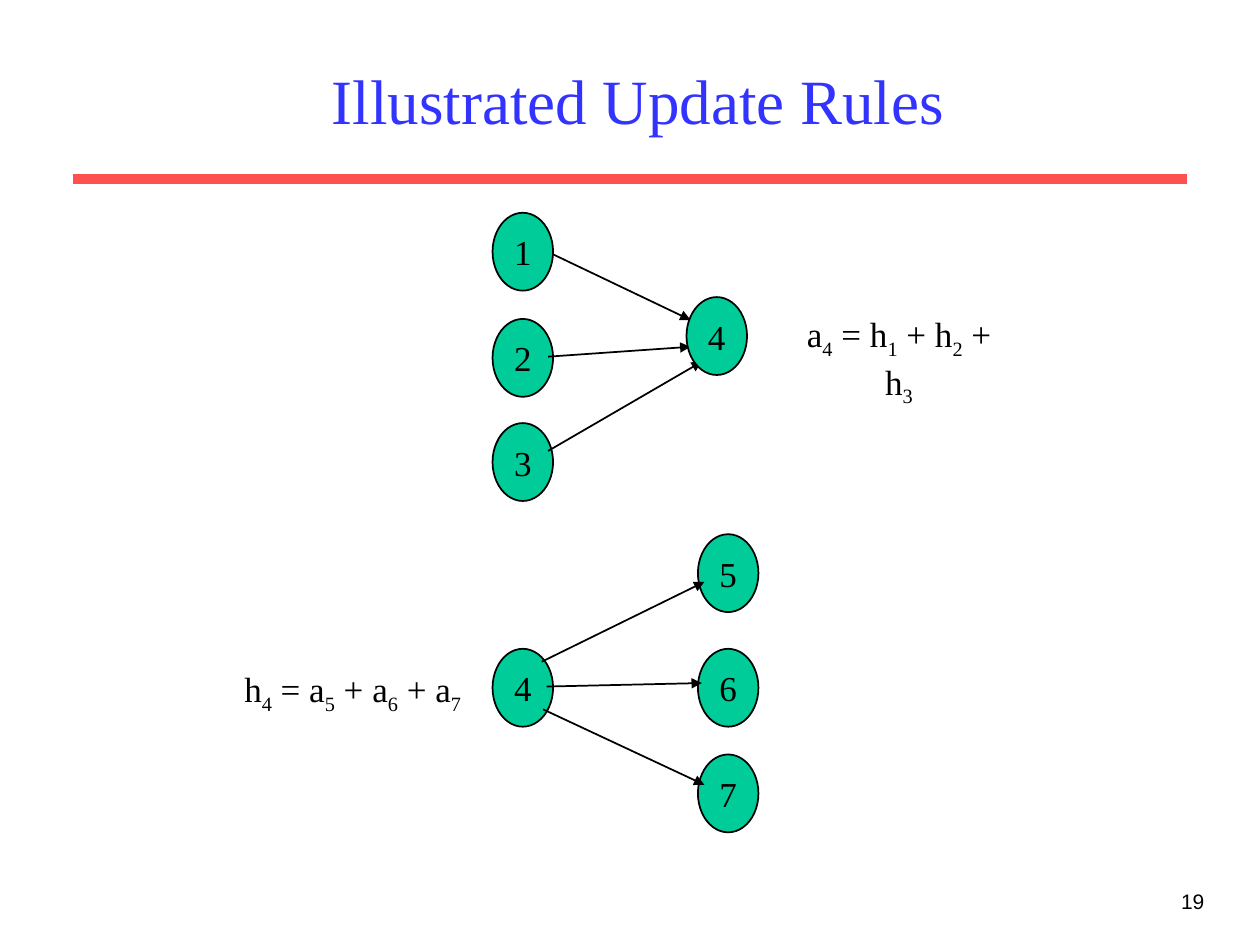
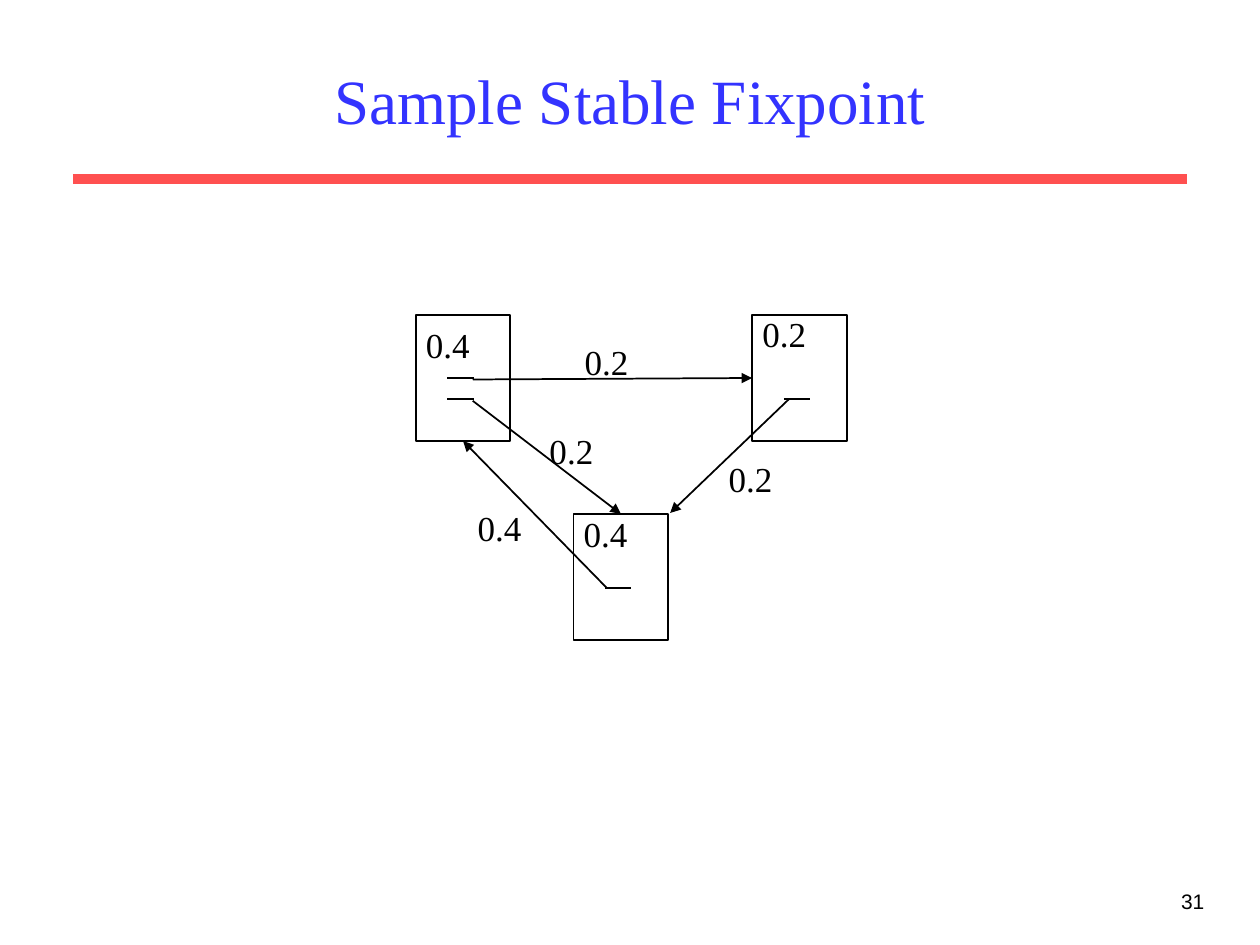
from typing import NamedTuple, Optional

from lxml.etree import SubElement
from pptx import Presentation
from pptx.dml.color import RGBColor
from pptx.enum.shapes import MSO_CONNECTOR, MSO_SHAPE
from pptx.enum.text import MSO_ANCHOR, MSO_AUTO_SIZE, PP_ALIGN
from pptx.oxml.ns import qn
from pptx.util import Cm, Pt

# Shared style
COLOURS = {"title": "3333FF", "rule": "FF5050", "node": "00CC99", "ink": "000000"}
SERIF, SANS = "Times New Roman", "Arial"
BODY_SIZE = 20
TITLE_ONLY = 5

# Sizes in centimetres
NODE_WIDTH, NODE_HEIGHT = 1.22, 1.57
PAGE_WIDTH, PAGE_HEIGHT = 1.91, 2.54
LABEL_WIDTH, LABEL_HEIGHT = 1.4, 1.12
MARK_INSET, MARK_LENGTH = 0.64, 0.53


class Node(NamedTuple):
    name: str
    left: float
    top: float


class Arrow(NamedTuple):
    start: tuple[float, float]
    end: tuple[float, float]
    target: Optional[str] = None  # page joined by the arrowhead
    side: int = 0  # 0 top, 1 left, 2 bottom, 3 right


class Formula(NamedTuple):
    text: str  # an underscore lowers the next character
    left: float
    top: float
    width: float
    height: float


class WebPage(NamedTuple):
    left: float
    top: float
    marks: tuple[float, ...]  # depths of the link marks below the top


class Label(NamedTuple):
    text: str
    left: float
    top: float


# Update rules: three nodes point to node 4, then node 4 points to three
LEFT_COLUMN, RIGHT_COLUMN = 9.93, 14.07
BACK_NODES = [Node("2", LEFT_COLUMN, 6.43), Node("3", LEFT_COLUMN, 8.53)]
IN_ARROWS = [
    Arrow((11.05, 5.08), (13.92, 6.45)),
    Arrow((11.05, 7.19), (13.92, 6.99)),
    Arrow((11.05, 9.09), (14.15, 7.29)),
]
FRONT_NODES = [
    Node("1", LEFT_COLUMN, 4.29),
    Node("4", 13.84, 5.99),
    Node("4", LEFT_COLUMN, 13.08),
    Node("5", RIGHT_COLUMN, 10.77),
    Node("6", RIGHT_COLUMN, 13.08),
    Node("7", RIGHT_COLUMN, 15.21),
]
OUT_ARROWS = [
    Arrow((10.92, 13.34), (14.2, 11.73)),
    Arrow((11.02, 13.84), (14.15, 13.77)),
    Arrow((10.95, 14.3), (14.2, 15.82)),
]
FORMULAS = [
    Formula("a_4 = h_1 + h_2 + h_3", 15.65, 6.17, 4.95, 1.22),
    Formula("h_4 = a_5 + a_6 + a_7", 4.67, 13.34, 4.88, 2.18),
]

# Fixpoint: three web pages with ranks, and the weights on their links
WEB_PAGES = {
    "left": WebPage(8.38, 6.35, (1.27, 1.7)),
    "lower": WebPage(11.56, 10.36, (1.5,)),
    "right": WebPage(15.16, 6.35, (1.7,)),
}
LINKS = [
    Arrow((9.53, 7.65), (15.16, 7.62), "right", 1),
    Arrow((9.53, 8.08), (12.52, 10.36), "lower", 0),
    Arrow((12.22, 11.84), (9.34, 8.89), "left", 2),
    Arrow((15.9, 8.05), (13.51, 10.34)),
]
LABELS = [
    Label("0.4", 8.33, 6.4),
    Label("0.4", 11.51, 10.21),
    Label("0.2", 15.11, 6.17),
    Label("0.2", 14.43, 9.09),
    Label("0.2", 11.53, 6.73),
    Label("0.2", 10.82, 8.53),
    Label("0.4", 9.37, 10.08),
]


def colour(name: str) -> RGBColor:
    return RGBColor.from_string(COLOURS[name])


def format_paragraph(para, size: float, ink: str = "ink", face: str = SERIF,
                     align=PP_ALIGN.CENTER) -> None:
    para.alignment = align
    para.font.size = Pt(size)
    para.font.name = face
    para.font.color.rgb = colour(ink)


def add_line(page, start, end, ink: str = "ink", weight: float = 1, arrow: bool = False):
    line = page.shapes.add_connector(
        MSO_CONNECTOR.STRAIGHT, *(Cm(value) for value in (*start, *end)))
    line.line.width = Pt(weight)
    line.line.color.rgb = colour(ink)
    properties = line._element.spPr
    if arrow:
        SubElement(properties.find(qn("a:ln")), qn("a:tailEnd"), type="triangle")
    SubElement(properties, qn("a:effectLst"))
    return line


def add_outlined(page, kind, left: float, top: float, width: float, height: float):
    shape = page.shapes.add_shape(kind, Cm(left), Cm(top), Cm(width), Cm(height))
    shape.shadow.inherit = False
    shape.fill.background()
    shape.line.color.rgb = colour("ink")
    shape.line.width = Pt(1)
    return shape


def add_text_box(page, left: float, top: float, width: float, height: float):
    box = page.shapes.add_textbox(Cm(left), Cm(top), Cm(width), Cm(height))
    box.text_frame.word_wrap = False
    return box.text_frame.paragraphs[0]


def add_node(page, node: Node) -> None:
    oval = add_outlined(page, MSO_SHAPE.OVAL, node.left, node.top, NODE_WIDTH, NODE_HEIGHT)
    oval.fill.solid()
    oval.fill.fore_color.rgb = colour("node")
    frame = oval.text_frame
    frame.word_wrap = False
    frame.vertical_anchor = MSO_ANCHOR.MIDDLE
    frame.text = node.name
    format_paragraph(frame.paragraphs[0], BODY_SIZE)


def add_formula(page, formula: Formula) -> None:
    para = add_text_box(page, *formula[1:])
    first, *rest = formula.text.split("_")
    para.add_run().text = first
    for piece in rest:
        span = para.add_run()
        span.text = piece[0]
        span._r.get_or_add_rPr().set("baseline", "-25000")
        if piece[1:]:
            para.add_run().text = piece[1:]
    format_paragraph(para, BODY_SIZE)


def add_label(page, label: Label) -> None:
    para = add_text_box(page, label.left, label.top, LABEL_WIDTH, LABEL_HEIGHT)
    para.text = label.text
    format_paragraph(para, BODY_SIZE)


def add_web_page(page, web_page: WebPage):
    box = add_outlined(page, MSO_SHAPE.RECTANGLE, web_page.left, web_page.top,
                       PAGE_WIDTH, PAGE_HEIGHT)
    left = web_page.left + MARK_INSET
    for depth in web_page.marks:
        height = web_page.top + depth
        add_line(page, (left, height), (left + MARK_LENGTH, height))
    return box


def add_page(deck, title: str, number: int):
    page = deck.slides.add_slide(deck.slide_layouts[TITLE_ONLY])
    # Red rule and page number
    add_line(page, (1.47, 3.61), (23.93, 3.61), "rule", 6)
    para = add_text_box(page, 19.25, 17.78, 5.28, 1.27)
    para.text = str(number)
    format_paragraph(para, 12, face=SANS, align=PP_ALIGN.RIGHT)
    # Title
    heading = page.shapes.title
    heading.left, heading.top = Cm(1.91), Cm(0.64)
    heading.width, heading.height = Cm(21.59), Cm(2.74)
    frame = heading.text_frame
    frame.text = title
    frame.auto_size = MSO_AUTO_SIZE.NONE
    frame.vertical_anchor = MSO_ANCHOR.MIDDLE
    format_paragraph(frame.paragraphs[0], 36, "title")
    return page


def build_update_rules(deck) -> None:
    page = add_page(deck, " Illustrated Update Rules", 19)
    for nodes, arrows in ((BACK_NODES, IN_ARROWS), (FRONT_NODES, OUT_ARROWS)):
        for node in nodes:
            add_node(page, node)
        for arrow in arrows:
            add_line(page, arrow.start, arrow.end, arrow=True)
    for formula in FORMULAS:
        add_formula(page, formula)


def build_fixpoint(deck) -> None:
    page = add_page(deck, "Sample Stable Fixpoint", 31)
    boxes = {name: add_web_page(page, web_page) for name, web_page in WEB_PAGES.items()}
    for link in LINKS:
        line = add_line(page, link.start, link.end, arrow=True)
        if link.target:
            line.end_connect(boxes[link.target], link.side)
    for label in LABELS:
        add_label(page, label)


def main() -> None:
    deck = Presentation()
    deck.slide_width, deck.slide_height = Cm(25.4), Cm(19.05)
    build_update_rules(deck)
    build_fixpoint(deck)
    deck.save("out.pptx")


if __name__ == "__main__":
    main()
